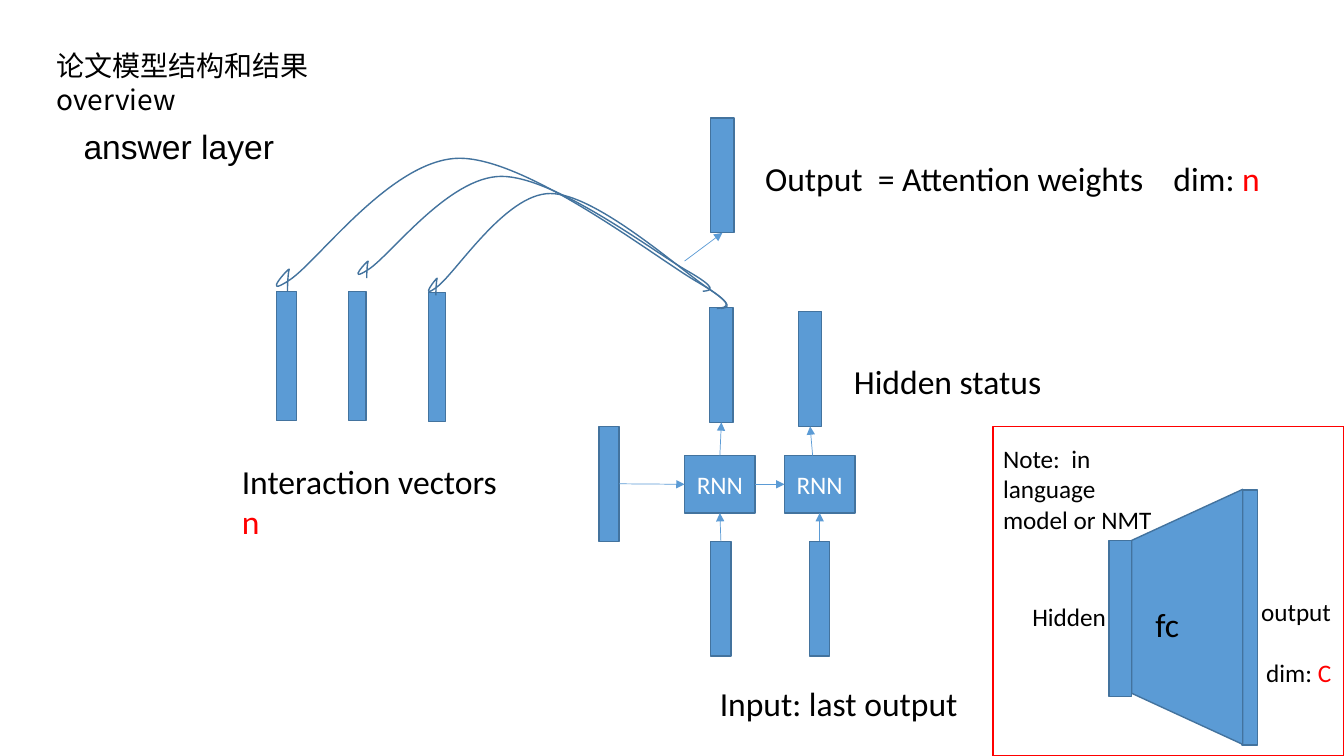
from lxml import etree
from pptx import Presentation
from pptx import util as u
from pptx.dml.color import RGBColor
from pptx.enum import shapes, text
from pptx.oxml import ns

BLUE = RGBColor(0x5B, 0x9B, 0xD5)
EDGE = RGBColor(0x43, 0x73, 0x9E)
RED = RGBColor(0xFF, 0x00, 0x00)
BLACK = RGBColor(0x00, 0x00, 0x00)
WHITE = RGBColor(0xFF, 0xFF, 0xFF)

UNIT = 1000
LOOP_START = (980, 1000)
LOOP_CURVES = [
    [(1004, 993), (1027, 980), (930, 812)],
    [(836, 644), (558, 0), (408, 0)],
    [(258, 0), (92, 691), (29, 812)],
    [(-36, 940), (29, 725), (29, 738)],
    [(27, 752), (25, 819), (25, 886)],
]


def write(tf, content, size=24, font="Calibri", color=BLACK, accent="", align=None, tab=None):
    lines = content.split("\n")
    for i, line in enumerate(lines):
        p = tf.paragraphs[0] if i == 0 else tf.add_paragraph()
        if tab:
            tabs = etree.SubElement(p._p.get_or_add_pPr(), ns.qn("a:tabLst"))
            etree.SubElement(tabs, ns.qn("a:tab"), pos=str(u.Inches(tab)), algn="l")
        if align is not None:
            p.alignment = align
        runs = [(line, color)]
        if i == len(lines) - 1:
            runs.append((accent, RED))
        for words, tint in runs:
            if words:
                r = p.add_run()
                r.text = words
                r.font.size = u.Pt(size)
                r.font.name = font
                r.font.color.rgb = tint
                ea = etree.SubElement(r._r.get_or_add_rPr(), ns.qn("a:ea"))
                ea.set("typeface", font)


class Diagram:
    """Draws styled elements on one slide."""

    def __init__(self, prs):
        self.slide = prs.slides.add_slide(prs.slide_layouts[5])
        self.shapes = self.slide.shapes

    def frame_text(self, sp, content, wrap, **fmt):
        tf = sp.text_frame
        tf.word_wrap = wrap
        tf.auto_size = text.MSO_AUTO_SIZE.SHAPE_TO_FIT_TEXT
        tf.vertical_anchor = text.MSO_ANCHOR.TOP
        write(tf, content, **fmt)

    def title(self, box, content, **fmt):
        sp = self.shapes.title
        sp.left, sp.top, sp.width, sp.height = map(u.Inches, box)
        self.frame_text(sp, content, False, align=text.PP_ALIGN.LEFT, **fmt)

    def label(self, box, content, wrap=True, **fmt):
        sp = self.shapes.add_textbox(*map(u.Inches, box))
        self.frame_text(sp, content, wrap, **fmt)

    def outline(self, sp, fill=BLUE, line=EDGE):
        sp.shadow.inherit = False
        if fill is None:
            sp.fill.background()
        else:
            sp.fill.solid()
            sp.fill.fore_color.rgb = fill
        sp.line.color.rgb = line
        sp.line.width = u.Pt(1)
        return sp

    def block(self, box, kind=shapes.MSO_SHAPE.RECTANGLE, **style):
        return self.outline(self.shapes.add_shape(kind, *map(u.Inches, box)), **style)

    def cell(self, left):
        sp = self.block((left, 4.52, 0.7, 0.57))
        sp.text_frame.vertical_anchor = text.MSO_ANCHOR.MIDDLE
        write(sp.text_frame, "RNN", size=18, color=WHITE, align=text.PP_ALIGN.CENTER)
        return sp

    def loop(self, box):
        left, top, width, height = map(u.Inches, box)
        fb = self.shapes.build_freeform(0, 0, scale=(width / UNIT, height / UNIT))
        fb.add_line_segments([(UNIT, UNIT)], close=False)
        sp = self.outline(fb.convert_to_shape(left, top), fill=None)
        outline = sp._element.find(".//" + ns.qn("a:path"))
        for step in list(outline):
            outline.remove(step)
        for tag, points in [("a:moveTo", [LOOP_START])] + [("a:cubicBezTo", c) for c in LOOP_CURVES]:
            step = etree.SubElement(outline, ns.qn(tag))
            for x, y in points:
                etree.SubElement(step, ns.qn("a:pt"), x=str(x), y=str(y))

    def arrow(self, target, source=None, site=0, end_site=2, start=(0, 0)):
        x, y = map(u.Inches, start)
        c = self.shapes.add_connector(shapes.MSO_CONNECTOR.STRAIGHT, x, y, x, y)
        if source is not None:
            c.begin_connect(source, site)
        c.end_connect(target, end_site)
        c.line.color.rgb = BLUE
        c.line.width = u.Pt(0.5)
        etree.SubElement(c.line._get_or_add_ln(), ns.qn("a:tailEnd"), type="triangle")
        etree.SubElement(c._element.spPr, ns.qn("a:effectLst"))


def main():
    prs = Presentation()
    prs.slide_width, prs.slide_height = u.Inches(13.33), u.Inches(7.5)
    d = Diagram(prs)

    d.title((0.46, 0.43, 2.73, 0.77), "论文模型结构和结果\noverview", size=20, font="Noto Sans CJK SC")
    d.label((0.73, 1.2, 2.19, 0.5), "answer layer", wrap=False, font="Arial")

    for left, top, width in [(2.74, 2.89, 0.2), (3.46, 2.89, 0.17), (4.25, 2.9, 0.17)]:
        d.block((left, top, width, 1.28))
    initial = d.block((5.94, 4.23, 0.2, 1.14))
    hidden_1 = d.block((7.04, 3.05, 0.23, 1.14))
    for box in [(3.55, 1.75, 3.49, 1.14), (4.25, 1.92, 2.96, 1.14), (2.74, 1.57, 4.46, 1.49)]:
        d.loop(box)
    d.label((2.3, 4.52, 3, 0.91), "Interaction vectors\n", accent="n")

    rnn_1, rnn_2 = d.cell(6.79), d.cell(7.78)
    input_1, input_2 = [d.block((left, 5.37, 0.2, 1.14)) for left in (7.05, 8.03)]
    hidden_2 = d.block((7.92, 3.09, 0.23, 1.14))
    output = d.block((7.05, 1.17, 0.23, 1.14))
    d.arrow(rnn_1, initial, site=3, end_site=1)
    d.arrow(rnn_2, rnn_1, site=3, end_site=1)
    for source, target in [(rnn_1, hidden_1), (input_1, rnn_1), (input_2, rnn_2)]:
        d.arrow(target, source)
    d.arrow(hidden_2, start=(8.06, 4.52))
    d.arrow(output, start=(6.79, 2.59))

    d.label((7.04, 6.73, 2.68, 0.91), "Input: last output")
    d.label((8.37, 3.53, 2.31, 0.5), "Hidden status")
    d.label((7.49, 1.52, 5.34, 0.5), "Output  = Attention weights\tdim: ", accent="n", tab=4.05)

    d.block((11, 5.36, 0.22, 1.55))
    d.block((12.32, 4.86, 0.15, 2.53))
    fc = d.block((10.51, 5.57, 2.53, 1.1), shapes.MSO_SHAPE.FLOWCHART_MANUAL_OPERATION)
    fc.rotation = 90
    d.block((9.85, 4.23, 3.48, 3.27), fill=None, line=RED)
    d.label((9.85, 4.35, 1.8, 1.01), "Note:  in language model or NMT", size=18)
    d.label((10.14, 5.92, 1, 0.4), "Hidden", wrap=False, size=18)
    d.label((12.41, 5.87, 0.9, 0.4), "output", wrap=False, size=18)
    d.label((12.46, 6.47, 0.85, 0.4), "dim: ", wrap=False, size=18, accent="C")
    d.label((11.36, 5.94, 0.92, 0.5), "fc")
    prs.save("out.pptx")


if __name__ == "__main__":
    main()
